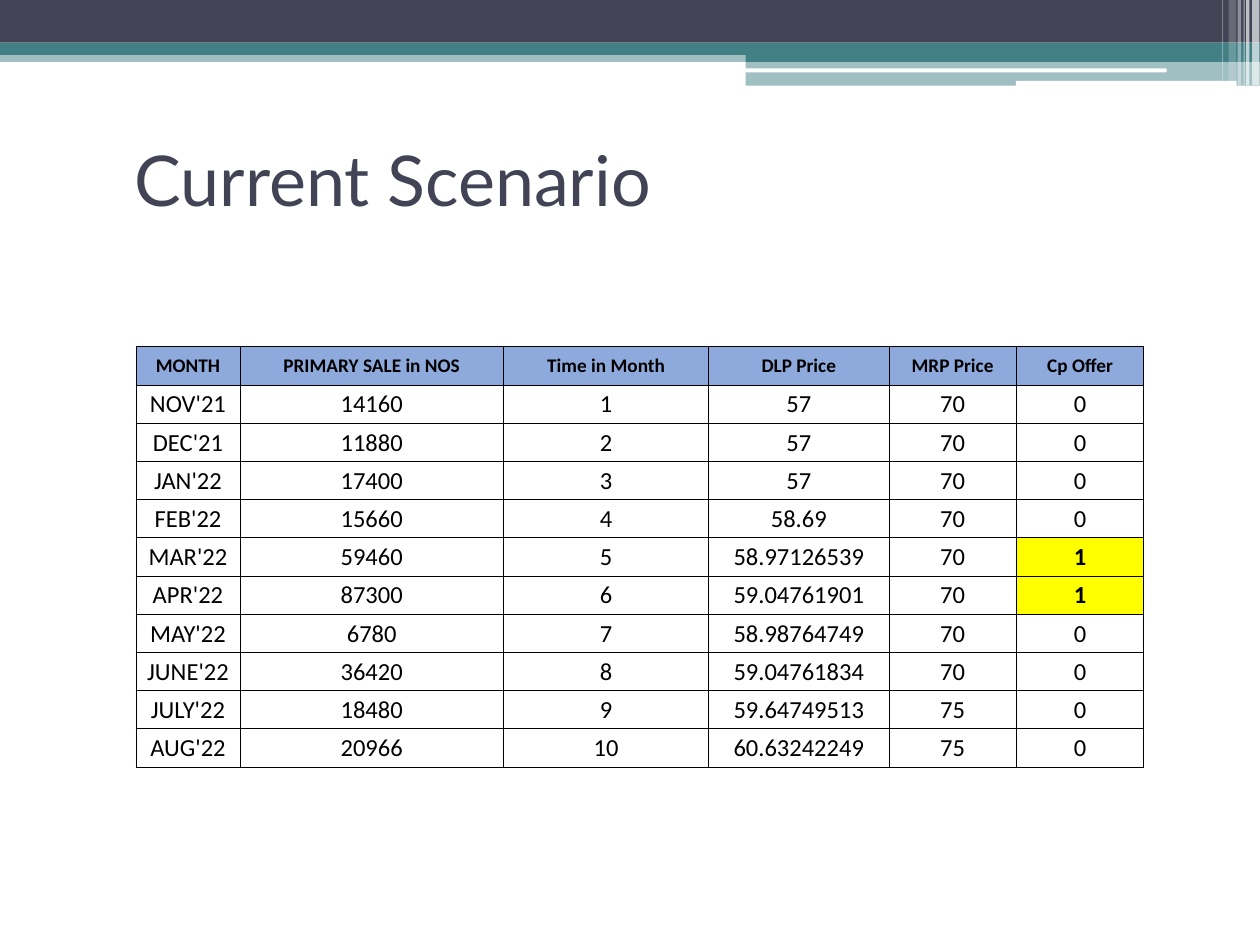
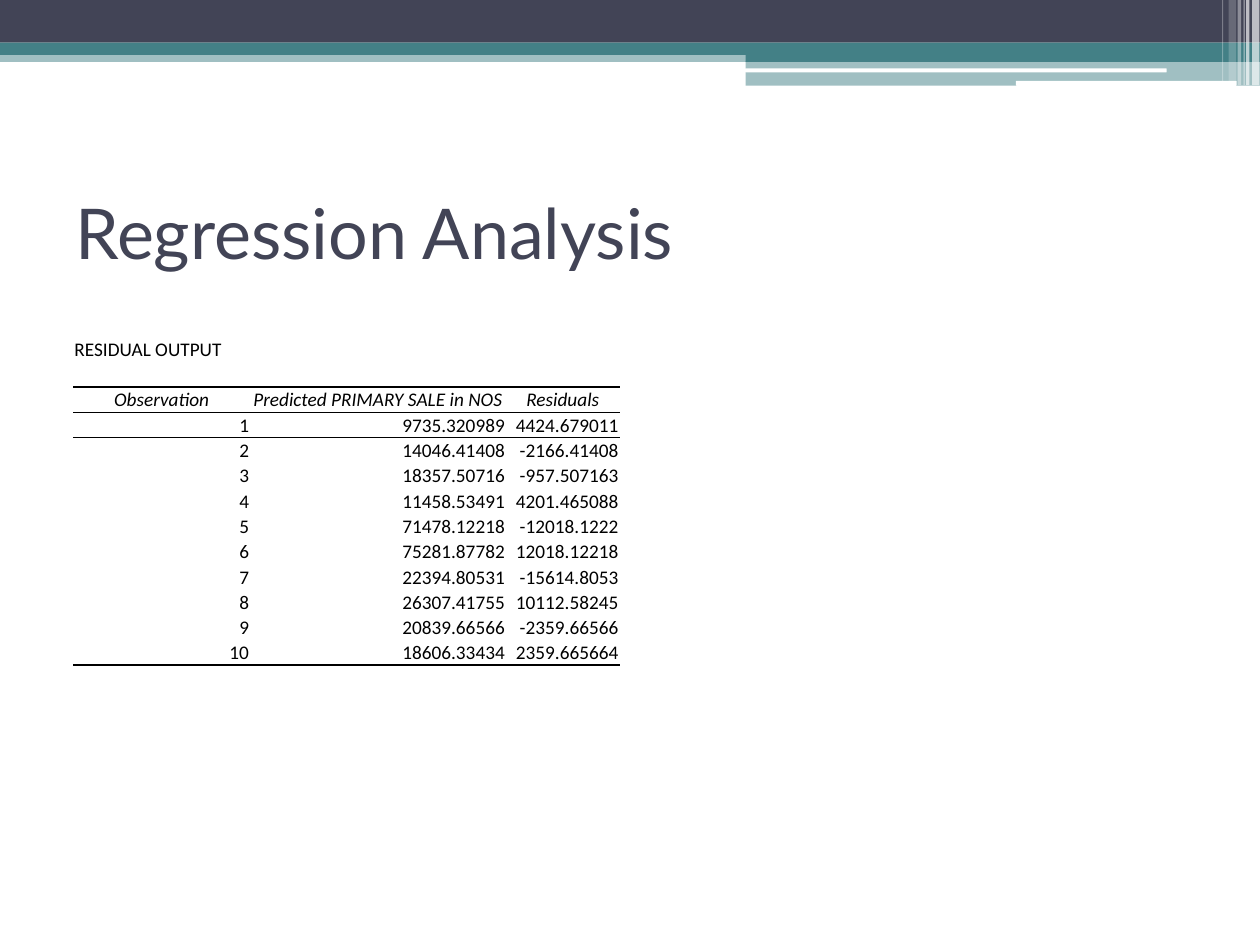
from dataclasses import dataclass

from lxml.etree import SubElement
from pptx import Presentation
from pptx.dml.color import RGBColor
from pptx.enum.shapes import MSO_SHAPE
from pptx.enum.text import MSO_ANCHOR, MSO_AUTO_SIZE, PP_ALIGN
from pptx.oxml.ns import qn
from pptx.slide import Slide, SlideLayout
from pptx.table import Table, _Cell
from pptx.util import Cm, Pt

NAVY = "424456"
TEAL = "438086"
WHITE = "FFFFFF"
BLACK = "000000"
HEADER_BLUE = "8EA9DB"
OFFER_YELLOW = "FFFF00"
TITLE_FONT = "Lato"
TABLE_FONT = "Calibri"
PLAIN_TABLE_STYLE = "{2D5ABB26-0587-4C30-8999-92F81FD0307C}"
SLIDE_WIDTH = 25.4
BANNER_LEFT = 15.03
BANNER_WIDTH = SLIDE_WIDTH - BANNER_LEFT


@dataclass(frozen=True)
class Band:
    left: float
    top: float
    width: float
    height: float
    color: str
    opacity: int = 100
    rounded: bool = False


@dataclass(frozen=True)
class CellStyle:
    size: int
    align: PP_ALIGN
    anchor: MSO_ANCHOR
    bold: bool = False
    italic: bool = False
    fill: str | None = None


BANDS = [
    Band(0, 1.02, SLIDE_WIDTH, 0.23, TEAL, 50),
    Band(0, 0, SLIDE_WIDTH, 0.86, NAVY),
    Band(0, 0.86, SLIDE_WIDTH, 0.25, TEAL),
    Band(BANNER_LEFT, 1, BANNER_WIDTH, 0.25, TEAL),
    Band(BANNER_LEFT, 1.23, BANNER_WIDTH, 0.5, TEAL, 50),
    Band(15.02, 1.38, 8.5, 0.08, WHITE, rounded=True),
    Band(20.48, 1.63, 4.45, 0.1, WHITE, rounded=True),
    Band(25.24, 0, 0.15, 1.72, WHITE, 65),
    Band(25.12, 0, 0.07, 1.72, WHITE, 65),
    Band(25.07, 0, 0.02, 1.72, WHITE, 60),
    Band(24.95, 0, 0.07, 1.72, WHITE, 40),
    Band(24.77, 0, 0.15, 1.63, WHITE, 20),
    Band(24.64, 0, 0.02, 1.63, WHITE, 30),
]

SALES_HEADER = ["MONTH", "PRIMARY SALE in NOS", "Time in Month", "DLP Price", "MRP Price", "Cp Offer"]
SALES = [
    ("NOV'21", "14160", "57", "70", "0"),
    ("DEC'21", "11880", "57", "70", "0"),
    ("JAN'22", "17400", "57", "70", "0"),
    ("FEB'22", "15660", "58.69", "70", "0"),
    ("MAR'22", "59460", "58.97126539", "70", "1"),
    ("APR'22", "87300", "59.04761901", "70", "1"),
    ("MAY'22", "6780", "58.98764749", "70", "0"),
    ("JUNE'22", "36420", "59.04761834", "70", "0"),
    ("JULY'22", "18480", "59.64749513", "75", "0"),
    ("AUG'22", "20966", "60.63242249", "75", "0"),
]

RESIDUAL_HEADER = ["Observation", "Predicted PRIMARY SALE in NOS", "Residuals"]
RESIDUALS = [
    ("9735.320989", "4424.679011"),
    ("14046.41408", "-2166.41408"),
    ("18357.50716", "-957.507163"),
    ("11458.53491", "4201.465088"),
    ("71478.12218", "-12018.1222"),
    ("75281.87782", "12018.12218"),
    ("22394.80531", "-15614.8053"),
    ("26307.41755", "10112.58245"),
    ("20839.66566", "-2359.66566"),
    ("18606.33434", "2359.665664"),
]

SALES_HEAD_STYLE = CellStyle(11, PP_ALIGN.CENTER, MSO_ANCHOR.MIDDLE, bold=True, fill=HEADER_BLUE)
SALES_STYLE = CellStyle(14, PP_ALIGN.CENTER, MSO_ANCHOR.MIDDLE)
OFFER_STYLE = CellStyle(14, PP_ALIGN.CENTER, MSO_ANCHOR.MIDDLE, bold=True, fill=OFFER_YELLOW)
CAPTION_STYLE = CellStyle(11, PP_ALIGN.LEFT, MSO_ANCHOR.BOTTOM)
RESIDUAL_HEAD_STYLE = CellStyle(11, PP_ALIGN.CENTER, MSO_ANCHOR.BOTTOM, italic=True)
RESIDUAL_STYLE = CellStyle(11, PP_ALIGN.RIGHT, MSO_ANCHOR.BOTTOM)


def rgb(color: str) -> RGBColor:
    return RGBColor.from_string(color)


def draw_band(slide: Slide, layout: SlideLayout, band: Band) -> None:
    preset = MSO_SHAPE.ROUNDED_RECTANGLE if band.rounded else MSO_SHAPE.RECTANGLE
    shape = slide.shapes.add_shape(preset, Cm(band.left), Cm(band.top), Cm(band.width), Cm(band.height))
    shape.shadow.inherit = False
    shape.line.fill.background()
    shape.fill.solid()
    shape.fill.fore_color.rgb = rgb(band.color)
    if band.opacity < 100:
        color = shape.element.spPr.find(f"{qn('a:solidFill')}/{qn('a:srgbClr')}")
        SubElement(color, qn("a:alpha"), val=str(band.opacity * 1000))
    layout.element.cSld.spTree.append(shape.element)


def decorate_layout(slide: Slide, layout: SlideLayout) -> None:
    for placeholder in list(layout.placeholders)[1:]:
        placeholder.element.getparent().remove(placeholder.element)
    for band in BANDS:
        draw_band(slide, layout, band)


def set_title(slide: Slide, text: str, left: float, top: float) -> None:
    title = slide.shapes.title
    title.left, title.top, title.width, title.height = Cm(left), Cm(top), Cm(22.86), Cm(2.97)
    text_frame = title.text_frame
    text_frame.text = text
    text_frame.word_wrap = True
    text_frame.auto_size = MSO_AUTO_SIZE.NONE
    text_frame.vertical_anchor = MSO_ANCHOR.MIDDLE
    paragraph = text_frame.paragraphs[0]
    paragraph.alignment = PP_ALIGN.LEFT
    font = paragraph.runs[0].font
    font.name, font.size, font.color.rgb = TITLE_FONT, Pt(40), rgb(NAVY)


def add_plain_table(slide: Slide, left: float, top: float, widths: list[float],
                    row_count: int, row_height: float) -> Table:
    frame = slide.shapes.add_table(row_count, len(widths), Cm(left), Cm(top),
                                   Cm(sum(widths)), Cm(row_count * row_height))
    frame.element.find(f".//{qn('a:tableStyleId')}").text = PLAIN_TABLE_STYLE
    table = frame.table
    table.first_row = table.horz_banding = False
    for column, width in zip(table.columns, widths):
        column.width = Cm(width)
    for row in table.rows:
        row.height = Cm(row_height)
    return table


def set_borders(cell: _Cell, borders: dict[str, float]) -> None:
    properties = cell._tc.get_or_add_tcPr()
    for side in "LRTB":
        if side in borders:
            line = SubElement(properties, qn(f"a:ln{side}"), w=str(Pt(borders[side])))
            fill = SubElement(line, qn("a:solidFill"))
            SubElement(fill, qn("a:srgbClr"), val=BLACK)


def write_cell(cell: _Cell, text: str, style: CellStyle, borders: dict[str, float]) -> None:
    set_borders(cell, borders)
    cell.margin_left = cell.margin_right = cell.margin_top = Cm(0.02)
    cell.margin_bottom = 0
    cell.vertical_anchor = style.anchor
    if style.fill:
        cell.fill.solid()
        cell.fill.fore_color.rgb = rgb(style.fill)
    else:
        cell.fill.background()
    cell.text_frame.text = text
    paragraph = cell.text_frame.paragraphs[0]
    paragraph.alignment = style.align
    for run in paragraph.runs:
        font = run.font
        font.name, font.size, font.color.rgb = TABLE_FONT, Pt(style.size), rgb(BLACK)
        font.bold, font.italic = style.bold, style.italic
    if not text:
        SubElement(paragraph._p, qn("a:endParaRPr"), sz=str(style.size * 100))


def build_sales_slide(slide: Slide) -> None:
    set_title(slide, "Current Scenario", 2.46, 2.11)
    rows = [SALES_HEADER]
    for time, (month, sale, *prices_and_offer) in enumerate(SALES, 1):
        rows.append([month, sale, str(time), *prices_and_offer])
    table = add_plain_table(slide, 2.74, 6.99, [2.1, 5.31, 4.14, 3.63, 2.57, 2.57], len(rows), 0.77)
    grid = dict.fromkeys("LRTB", 0.5)
    offer_column = len(SALES_HEADER) - 1
    for row_index, row in enumerate(rows):
        for column_index, text in enumerate(row):
            if row_index == 0:
                style = SALES_HEAD_STYLE
            elif column_index == offer_column and text == "1":
                style = OFFER_STYLE
            else:
                style = SALES_STYLE
            write_cell(table.cell(row_index, column_index), text, style, grid)


def build_residual_slide(slide: Slide) -> None:
    set_title(slide, "Regression Analysis", 1.27, 3.18)
    rows = [["RESIDUAL OUTPUT", "", ""], [""] * 3, RESIDUAL_HEADER]
    rows += [[str(number), *values] for number, values in enumerate(RESIDUALS, 1)]
    table = add_plain_table(slide, 1.48, 6.78, [3.56, 5.16, 2.29], len(rows), 0.51)
    styles = {0: CAPTION_STYLE, 1: CAPTION_STYLE, 2: RESIDUAL_HEAD_STYLE}
    rules = {1: {"B": 1}, 2: {"T": 1, "B": 0.5}, 3: {"T": 0.5}, len(rows) - 1: {"B": 1}}
    for row_index, row in enumerate(rows):
        for column_index, text in enumerate(row):
            write_cell(table.cell(row_index, column_index), text,
                       styles.get(row_index, RESIDUAL_STYLE), rules.get(row_index, {}))


def main() -> None:
    presentation = Presentation()
    presentation.slide_width, presentation.slide_height = Cm(SLIDE_WIDTH), Cm(19.05)
    layout = presentation.slide_layouts[5]
    sales_slide = presentation.slides.add_slide(layout)
    decorate_layout(sales_slide, layout)
    build_sales_slide(sales_slide)
    build_residual_slide(presentation.slides.add_slide(layout))
    presentation.save("out.pptx")


if __name__ == "__main__":
    main()
